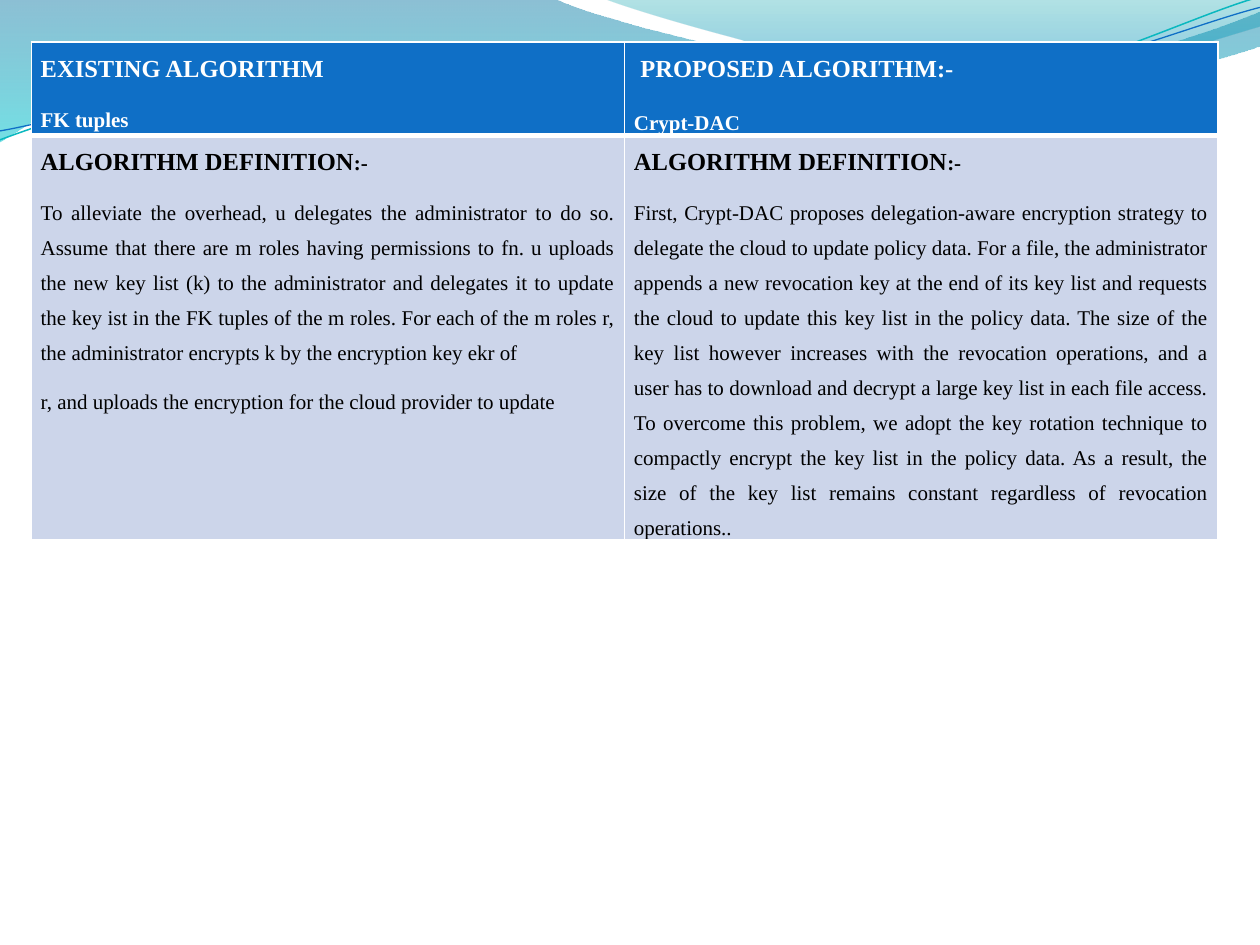
import pptx
import pptx.dml.color
import pptx.enum.text
import pptx.oxml
import pptx.oxml.ns
import pptx.util
from pptx.util import Cm

COLORS = {
    "header": "0F6FC6", "body": "CCD5EA", "white": "FFFFFF", "black": "000000",
    "deep_blue": "0074A1", "turquoise": "00C6CF", "teal": "00A1A9",
    "sky": "008BBF", "teal_line": "0AB8BF",
}
FONT = "Times New Roman"

LEFT_WAVE = [
    (0, 0), (11.18, -0.03),
    (12.09, 0.43, 16.87, 1.6, 19.25, 1.6), (21.67, 1.6, 24.33, 0.66, 25.4, 0.23),
    (25.43, 0.91),
    (24.97, 1.12, 22.1, 1.93, 18.95, 1.9), (15.8, 1.9, 9.7, 0.71, 6.53, 0.86),
    (3.28, 0.91, 1.17, 2.11, -0.03, 2.87), (0, 0),
]
RIGHT_WAVE = [
    (12.17, -0.03),
    (12.93, 0.28, 17.32, 1.57, 19.53, 1.65), (21.74, 1.75, 24.41, 0.81, 25.4, 0.53),
    (25.4, 0), (12.17, -0.03),
]
UPPER_LINE = [
    (0, 2.82), (1.22, 2.36, 4.01, 1.45, 7.04, 1.32),
    (10.03, 1.19, 15.06, 2.26, 18.11, 2.03), (21.16, 1.8, 23.83, 0.38, 25.35, -0.05),
]
LOWER_LINE = [
    (0, 2.64), (1.19, 2.44, 4.17, 1.55, 7.19, 1.42),
    (10.24, 1.3, 15.16, 2.13, 18.21, 1.91), (21.23, 1.7, 23.9, 0.53, 25.4, 0.15),
]

DEFINITION_TITLE = [("ALGORITHM DEFINITION", 14), (":-", 12)]
HEADERS = [
    [("EXISTING ALGORITHM", 14, 8, 0), ("FK tuples", 12, 8, 0)],
    [("PROPOSED ALGORITHM:-", 14, 10, 0.13), ("Crypt-DAC", 12, 8, 0)],
]
DEFINITIONS = [
    [
        "To alleviate the overhead, u delegates the administrator to do so. Assume that "
        "there are m roles having permissions to fn. u uploads the new key list (k) to the "
        "administrator and delegates it to update the key ist in the FK tuples of the m "
        "roles. For each of the m roles r, the administrator encrypts k by the encryption "
        "key ekr of",
        "r, and uploads the encryption for the cloud provider to update",
    ],
    [
        "First, Crypt-DAC proposes delegation-aware encryption strategy to delegate the "
        "cloud to update policy data. For a file, the administrator appends a new revocation "
        "key at the end of its key list and requests the cloud to update this key list in "
        "the policy data. The size of the key list however increases with the revocation "
        "operations, and a user has to download and decrypt a large key list in each file "
        "access. To overcome this problem, we adopt the key rotation technique to compactly "
        "encrypt the key list in the policy data. As a result, the size of the key list "
        "remains constant regardless of revocation operations..",
    ],
]


def rgb(name):
    return pptx.dml.color.RGBColor.from_string(COLORS[name])


def add_outline(slide, left, top, segments, close):
    points = [(left + Cm(s[-2]), top + Cm(s[-1])) for s in segments]
    builder = slide.shapes.build_freeform(*points[0])
    builder.add_line_segments(points[1:], close=close)
    shape = builder.convert_to_shape()
    shape.shadow.inherit = False
    lines = list(shape.element.spPr.iter(pptx.oxml.ns.qn("a:lnTo")))
    for line, segment in zip(lines, segments[1:]):
        if len(segment) == 6:
            bend(line, segment, left - shape.left, top - shape.top)
    return shape


def bend(line, segment, left, top):
    curve = line.makeelement(pptx.oxml.ns.qn("a:cubicBezTo"), {})
    for x, y in zip(segment[::2], segment[1::2]):
        position = {"x": str(left + Cm(x)), "y": str(top + Cm(y))}
        curve.append(line.makeelement(pptx.oxml.ns.qn("a:pt"), position))
    line.getparent().replace(line, curve)


def add_wave(slide, left, top, segments, stops):
    shape = add_outline(slide, left, top, segments, True)
    shape.line.fill.background()
    shape.fill.gradient()
    shape.fill.gradient_angle = 270
    for stop, (position, color, opacity) in zip(shape.fill.gradient_stops, stops):
        stop.position = position
        stop.color.rgb = rgb(color)
    colors = shape.element.spPr.iter(pptx.oxml.ns.qn("a:srgbClr"))
    for element, (position, color, opacity) in zip(colors, stops):
        alpha = element.makeelement(pptx.oxml.ns.qn("a:alpha"), {"val": str(opacity * 1000)})
        element.append(alpha)


def add_wave_line(slide, left, top, segments, color, width):
    shape = add_outline(slide, left, top, segments, False)
    shape.fill.background()
    shape.line.color.rgb = rgb(color)
    shape.line.width = pptx.util.Pt(width)


def add_banner(slide, left, top):
    add_wave(slide, left, top, LEFT_WAVE, [(0, "deep_blue", 45), (1, "turquoise", 55)])
    add_wave(slide, left, top, RIGHT_WAVE, [(0, "teal", 30), (0.8, "sky", 45)])
    add_wave_line(slide, left, top, UPPER_LINE, "teal_line", 0.85)
    add_wave_line(slide, left, top, LOWER_LINE, "header", 0.75)


def format_cell(cell, fill, bottom_width):
    properties = cell._tc.get_or_add_tcPr()
    borders = [("lnL", 1), ("lnR", 1), ("lnT", 1), ("lnB", bottom_width)]
    for side, width in borders:
        properties.append(pptx.oxml.parse_xml(
            f'<a:{side} {pptx.oxml.ns.nsdecls("a")} w="{pptx.util.Pt(width)}"><a:solidFill>'
            f'<a:srgbClr val="{COLORS["white"]}"/></a:solidFill></a:{side}>'))
    cell.fill.solid()
    cell.fill.fore_color.rgb = rgb(fill)
    cell.margin_left = cell.margin_right = Cm(0.19)
    cell.margin_top = cell.margin_bottom = 0


def add_paragraph(cell, runs, color, bold, space_after=8, indent=0):
    frame = cell.text_frame
    paragraph = frame.paragraphs[0]
    if paragraph.runs:
        paragraph = frame.add_paragraph()
    paragraph.alignment = pptx.enum.text.PP_ALIGN.JUSTIFY
    paragraph.line_spacing = 1.5
    paragraph.space_after = pptx.util.Pt(space_after)
    if indent:
        paragraph._p.get_or_add_pPr().set("marL", str(Cm(indent)))
    paragraph.font.name = FONT
    paragraph.font.bold = bold
    paragraph.font.color.rgb = rgb(color)
    for text, size in runs:
        run = paragraph.add_run()
        run.text = text
        run.font.size = pptx.util.Pt(size)


def add_comparison(slide, left, top, width, height, row_heights):
    frame = slide.shapes.add_table(2, 2, left, top, width, height)
    table = frame.table
    for row, row_height in zip(table.rows, row_heights):
        row.height = row_height
    frame.height = height
    for column, (header, definition) in enumerate(zip(HEADERS, DEFINITIONS)):
        cell = table.cell(0, column)
        format_cell(cell, "header", 3)
        for text, size, space_after, indent in header:
            add_paragraph(cell, [(text, size)], "white", True, space_after, indent)
        cell = table.cell(1, column)
        format_cell(cell, "body", 1)
        add_paragraph(cell, DEFINITION_TITLE, "black", True)
        for text in definition:
            add_paragraph(cell, [(text, 12)], "black", False)


def main():
    presentation = pptx.Presentation()
    presentation.slide_width = Cm(25.4)
    presentation.slide_height = Cm(19.05)
    slide = presentation.slides.add_slide(presentation.slide_layouts[6])
    add_banner(slide, Cm(0), Cm(0))
    add_comparison(slide, Cm(0.63), Cm(0.85), Cm(23.92), Cm(10.8), [Cm(0.5), Cm(6.45)])
    presentation.save("out.pptx")


if __name__ == "__main__":
    main()
